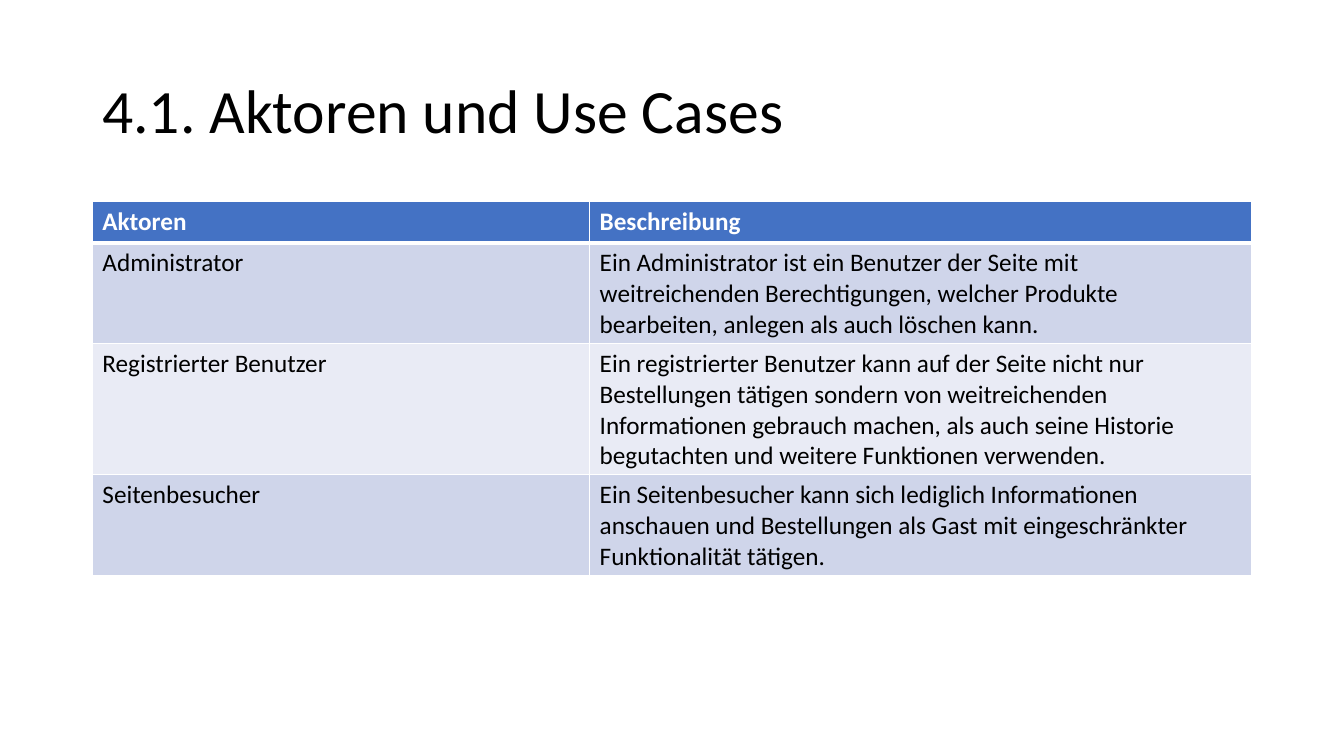
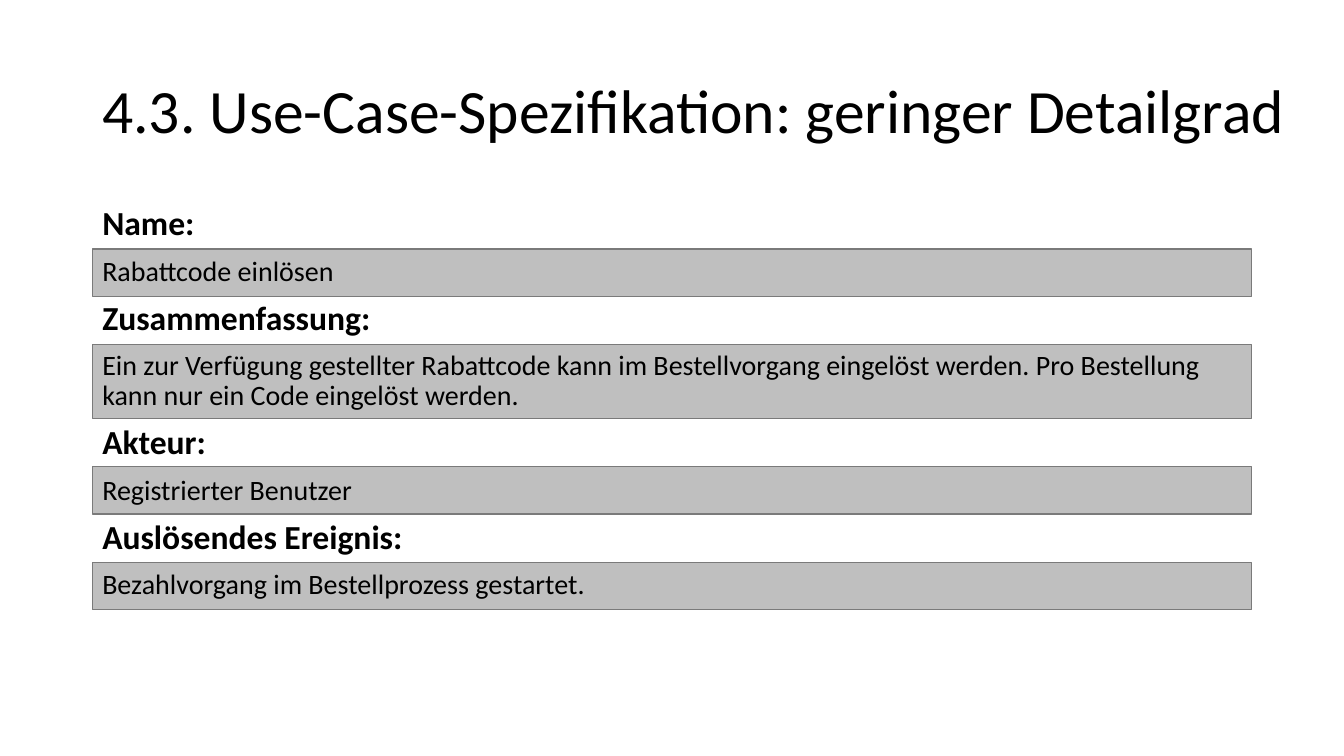
import pptx
import pptx.dml.color
import pptx.enum.shapes
import pptx.enum.text
import pptx.oxml
import pptx.oxml.ns
import pptx.util
from dataclasses import dataclass

# The slide is a grid of 160 columns by 90 rows; lengths below count cells.
CELL = pptx.util.Inches(1) / 12
COLS, ROWS = 160, 90
LEFT, WIDE, TOP = 11, 138, 24
FONT = "Calibri"
BLACK, WHITE = "000000", "FFFFFF"
BLUE, BAND, PALE = "4472C4", "CFD5EA", "E9EBF5"
GREY, EDGE = "BFBFBF", "7A7A7A"


@dataclass
class Actor:
    name: str
    text: str


@dataclass
class Field:
    label: str
    text: str
    lines: int = 1


ACTORS = [
    Actor("Administrator",
          "Ein Administrator ist ein Benutzer der Seite mit weitreichenden "
          "Berechtigungen, welcher Produkte bearbeiten, anlegen als auch "
          "löschen kann."),
    Actor("Registrierter Benutzer",
          "Ein registrierter Benutzer kann auf der Seite nicht nur "
          "Bestellungen tätigen sondern von weitreichenden Informationen "
          "gebrauch machen, als auch seine Historie begutachten und weitere "
          "Funktionen verwenden."),
    Actor("Seitenbesucher",
          "Ein Seitenbesucher kann sich lediglich Informationen anschauen "
          "und Bestellungen als Gast mit eingeschränkter Funktionalität "
          "tätigen."),
]

FIELDS = [
    Field("Name:", "Rabattcode einlösen"),
    Field("Zusammenfassung:",
          "Ein zur Verfügung gestellter Rabattcode kann im Bestellvorgang "
          "eingelöst werden. Pro Bestellung kann nur ein Code eingelöst "
          "werden.", 2),
    Field("Akteur:", "Registrierter Benutzer"),
    Field("Auslösendes Ereignis:",
          "Bezahlvorgang im Bestellprozess gestartet."),
]


def span(*cells: float) -> list[int]:
    """Turn counts of grid cells into lengths."""
    return [pptx.util.Emu(round(n * CELL)) for n in cells]


def paint(form, tone: str) -> None:
    """Give a fill one solid colour."""
    form.solid()
    form.fore_color.rgb = pptx.dml.color.RGBColor.from_string(tone)


def add_run(para, text: str, size: float, tone: str = BLACK,
            bold: bool = False) -> None:
    run = para.add_run()
    run.text = text
    run.font.name = FONT
    run.font.size = pptx.util.Pt(size)
    run.font.bold = bold
    paint(run.font.fill, tone)


def add_box(slide, left: float, top: float, width: float, height: float):
    """Add a wrapping text box and return its text frame."""
    box = slide.shapes.add_textbox(*span(left, top, width, height))
    box.text_frame.word_wrap = True
    return box.text_frame


def add_title(slide, text: str, width: float = WIDE) -> None:
    frame = add_box(slide, LEFT, 4.8, width, 17.4)
    frame.vertical_anchor = pptx.enum.text.MSO_ANCHOR.MIDDLE
    para = frame.paragraphs[0]
    para.line_spacing = 0.9
    add_run(para, text, 44)


def add_edges(cell, top: float, base: float) -> None:
    """Draw white borders; top and base are widths in points."""
    props = cell._tc.get_or_add_tcPr()
    sides = {"lnL": 1, "lnR": 1, "lnT": top, "lnB": base}
    for at, (tag, width) in enumerate(sides.items()):
        props.insert(at, pptx.oxml.parse_xml(
            f'<a:{tag} {pptx.oxml.ns.nsdecls("a")} '
            f'w="{pptx.util.Pt(width)}"><a:solidFill>'
            f'<a:srgbClr val="{WHITE}"/></a:solidFill></a:{tag}>'))


def add_table(slide, actors: list[Actor]) -> None:
    rows = [Actor("Aktoren", "Beschreibung"), *actors]
    high = 4.9
    table = slide.shapes.add_table(
        len(rows), 2, *span(LEFT, TOP, WIDE, high * len(rows))).table
    for col, width in zip(table.columns, span(59.2, 78.8)):
        col.width = width
    for at, actor in enumerate(rows):
        head = at == 0
        fill = BLUE if head else BAND if at % 2 else PALE
        for cell, text in zip(table.rows[at].cells, (actor.name, actor.text)):
            paint(cell.fill, fill)
            add_edges(cell, 3 if at == 1 else 1, 3 if head else 1)
            add_run(cell.text_frame.paragraphs[0], text, 18,
                    WHITE if head else BLACK, head)


def add_bars(slide, fields: list[Field]) -> None:
    """Stack one grey bar per field, as high as its lines need."""
    top, gap = 29.64, 5.76
    for field in fields:
        high = 2.52 + 3.12 * field.lines
        bar = slide.shapes.add_shape(
            pptx.enum.shapes.MSO_SHAPE.RECTANGLE,
            *span(LEFT, top, WIDE, high))
        bar.shadow.inherit = False
        paint(bar.fill, GREY)
        paint(bar.line.fill, EDGE)
        bar.line.width = pptx.util.Pt(1)
        top += high + gap


def add_fields(slide, fields: list[Field]) -> None:
    add_bars(slide, fields)
    frame = add_box(slide, LEFT, TOP, WIDE, 58.4)
    para = frame.paragraphs[0]
    for at, field in enumerate(fields):
        for text, size, bold in ((field.label, 24, True),
                                 (field.text, 20, False)):
            if at or not bold:
                para = frame.add_paragraph()
            para.line_spacing = 0.9
            para.space_before = pptx.util.Pt(10)
            add_run(para, text, size, bold=bold)


def main() -> None:
    deck = pptx.Presentation()
    deck.slide_width, deck.slide_height = span(COLS, ROWS)
    blank = deck.slide_layouts[6]

    slide = deck.slides.add_slide(blank)
    add_title(slide, "4.1. Aktoren und Use Cases")
    add_table(slide, ACTORS)

    slide = deck.slides.add_slide(blank)
    add_fields(slide, FIELDS)
    add_title(slide, "4.3. Use-Case-Spezifikation: geringer Detailgrad", 143.6)

    deck.save("out.pptx")


if __name__ == "__main__":
    main()
